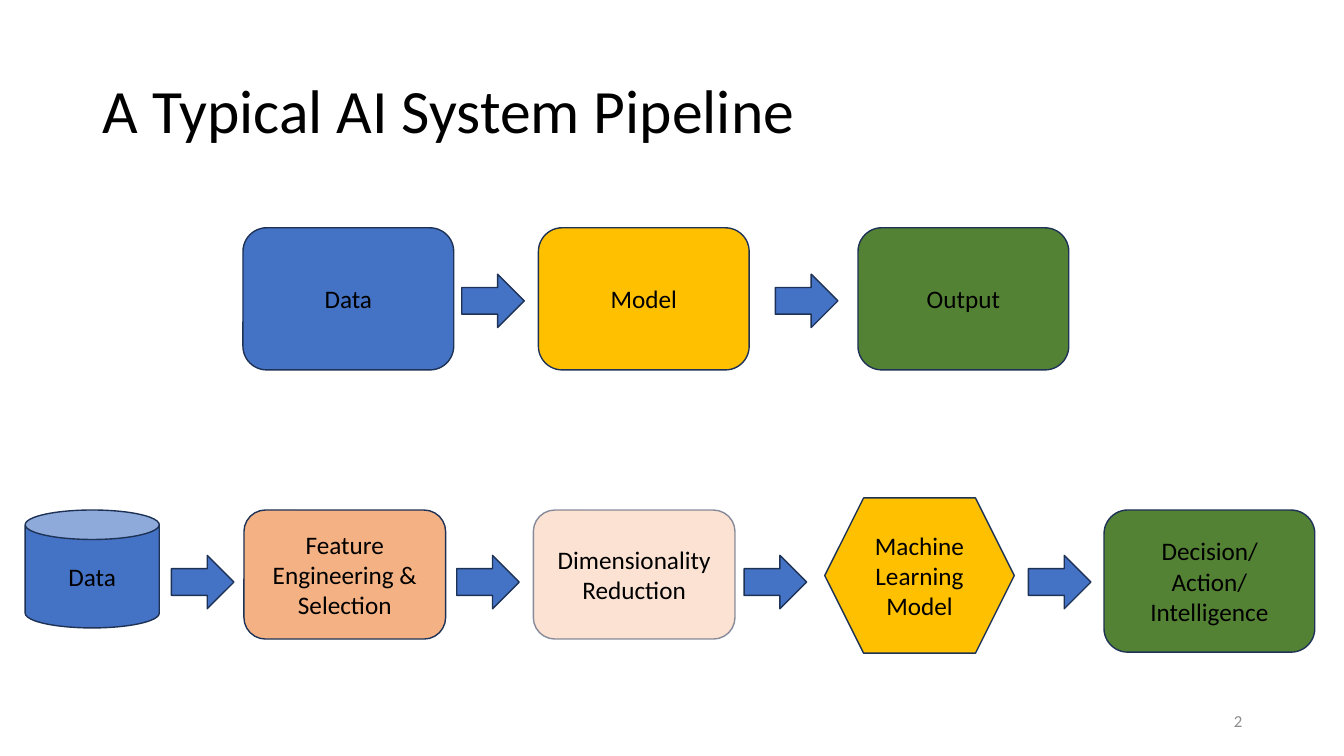
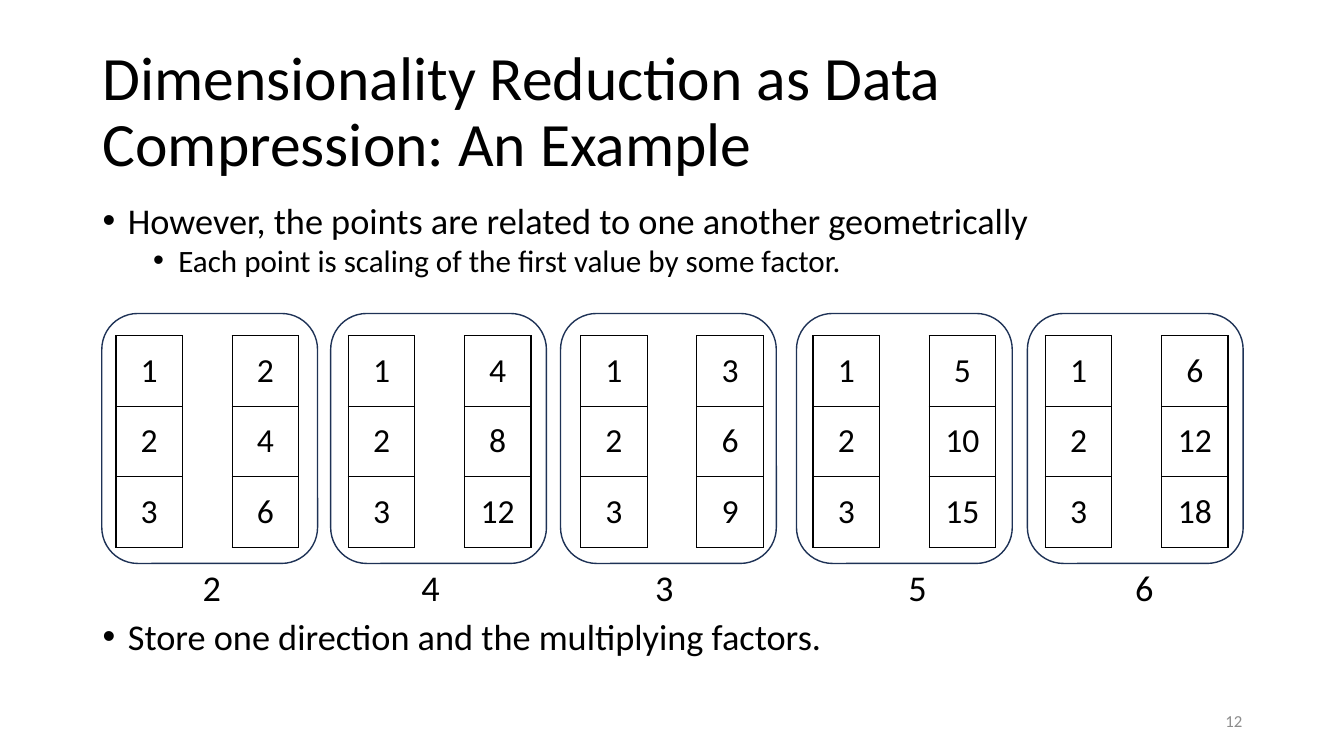
from lxml.etree import SubElement
from pptx import Presentation
from pptx.dml.color import RGBColor
from pptx.enum.shapes import MSO_SHAPE
from pptx.enum.text import MSO_ANCHOR, PP_ALIGN
from pptx.oxml.ns import qn
from pptx.util import Inches, Pt

COLORS = {
    "black": "000000",
    "gray": "8C8C8C",
    "navy": "1E3256",
    "blue": "4472C4",
    "gold": "FFC000",
    "green": "548235",
    "orange": "F4B183",
    "peach": "F8CBAD",
}
FONT = "Calibri"
ARROW_SIZE = (0.62, 0.53)
OVERVIEW_SIZE = (2.09, 1.41)
STEP_SIZE = (2, 1.28)

OVERVIEW_STAGES = [
    ("Data", MSO_SHAPE.ROUNDED_RECTANGLE, "blue", (0, 0, *OVERVIEW_SIZE)),
    ("Model", MSO_SHAPE.ROUNDED_RECTANGLE, "gold", (2.93, 0, *OVERVIEW_SIZE)),
    ("Output", MSO_SHAPE.ROUNDED_RECTANGLE, "green", (6.1, 0, *OVERVIEW_SIZE)),
]
DETAIL_STAGES = [
    ("Data", MSO_SHAPE.CAN, "blue", (0, 0.12, 1.33, 1.17)),
    ("Feature Engineering & Selection", MSO_SHAPE.ROUNDED_RECTANGLE, "orange",
     (2.17, 0.12, *STEP_SIZE)),
    ("Dimensionality Reduction", MSO_SHAPE.ROUNDED_RECTANGLE, "peach",
     (5.04, 0.12, *STEP_SIZE)),
    ("Machine Learning Model", MSO_SHAPE.HEXAGON, "gold", (7.93, 0, 1.88, 1.54)),
    ("Decision/Action/Intelligence", MSO_SHAPE.ROUNDED_RECTANGLE, "green",
     (10.7, 0.12, *OVERVIEW_SIZE)),
]
DIRECTION = (1, 2, 3)
GROUPS = [(2, 1.01, 2.1), (4, 3.28, 4.27), (3, 5.56, 6.59), (5, 7.9, 9.1), (6, 10.19, 11.35)]


def color(name):
    """Return the named colour."""
    return RGBColor.from_string(COLORS[name])


def style(para, size, name="black", align=PP_ALIGN.LEFT, spacing=1.0):
    """Set font, alignment and line spacing of a paragraph."""
    para.alignment = align
    para.line_spacing = spacing
    para.font.name = FONT
    para.font.size = Pt(size)
    para.font.color.rgb = color(name)


def add_text(page, box, text, size, anchor=MSO_ANCHOR.TOP, **looks):
    """Add a wrapped text box with one paragraph."""
    frame = page.shapes.add_textbox(*map(Inches, box)).text_frame
    frame.word_wrap = True
    frame.vertical_anchor = anchor
    frame.text = text
    style(frame.paragraphs[0], size, **looks)


def add_bullets(page, box, items):
    """Add bulleted lines given as pairs of text and level."""
    frame = page.shapes.add_textbox(*map(Inches, box)).text_frame
    frame.word_wrap = True
    for index, (text, level) in enumerate(items):
        para = frame.add_paragraph() if index else frame.paragraphs[0]
        para.text = text
        para.level = level
        props = para._p.get_or_add_pPr()
        props.set("marL", str(Inches(0.25 + 0.5 * level)))
        props.set("indent", str(Inches(-0.25)))
        SubElement(props, qn("a:buFont"), typeface="Arial")
        SubElement(props, qn("a:buChar"), char="•")
        if index:
            para.space_before = Pt(5 if level else 10)
        style(para, 22.2 if level else 25.9, spacing=0.8)


def add_outlined(page, kind, box, fill=None):
    """Add a preset shape with the navy outline."""
    shape = page.shapes.add_shape(kind, *map(Inches, box))
    shape.shadow.inherit = False
    shape.line.color.rgb = color("navy")
    shape.line.width = Pt(1)
    if fill:
        shape.fill.solid()
        shape.fill.fore_color.rgb = color(fill)
    else:
        shape.fill.background()
    return shape


def fade(shape, fill_percent, line_percent):
    """Make the fill and outline of a shape partly transparent."""
    props = shape._element.spPr
    for fill, percent in ((props.find(qn("a:solidFill")), fill_percent),
                          (props.find(qn("a:ln")).find(qn("a:solidFill")), line_percent)):
        SubElement(fill[0], qn("a:alpha"), val=str(percent * 1000))


def add_pipeline(page, left, top, stages, arrow_lefts, arrow_top):
    """Draw a row of stages and arrows from its top left corner."""
    for text, kind, fill, (across, down, width, height) in stages:
        shape = add_outlined(page, kind, (left + across, top + down, width, height), fill)
        if fill == "peach":
            fade(shape, 54, 53)
        frame = shape.text_frame
        frame.word_wrap = True
        frame.vertical_anchor = MSO_ANCHOR.MIDDLE
        frame.text = text
        style(frame.paragraphs[0], 18, align=PP_ALIGN.CENTER)
    for across in arrow_lefts:
        box = (left + across, top + arrow_top, *ARROW_SIZE)
        add_outlined(page, MSO_SHAPE.RIGHT_ARROW, box, "blue")


def add_border(cell):
    """Give a table cell a thin black border on all sides."""
    props = cell._tc.get_or_add_tcPr()
    for index, side in enumerate(("lnL", "lnR", "lnT", "lnB")):
        line = props.makeelement(qn(f"a:{side}"), {"w": str(Pt(1))})
        props.insert(index, line)
        fill = SubElement(line, qn("a:solidFill"))
        SubElement(fill, qn("a:srgbClr"), val=COLORS["black"])


def add_vector(page, box, values):
    """Draw a point as a table of one column."""
    table = page.shapes.add_table(len(values), 1, *map(Inches, box)).table
    table.first_row = False
    table.horz_banding = False
    for row, value in enumerate(values):
        cell = table.cell(row, 0)
        cell.fill.background()
        cell.vertical_anchor = MSO_ANCHOR.MIDDLE
        cell.text = str(value)
        style(cell.text_frame.paragraphs[0], 24, align=PP_ALIGN.CENTER)
        add_border(cell)


def add_groups(page, left, top, width):
    """Draw each direction beside its scaled point, framed, with its factor below."""
    step = width / (2 * len(GROUPS) - 1)
    for index, (factor, frame_left, center) in enumerate(GROUPS):
        for offset, scale in enumerate((1, factor)):
            box = (left + step * (2 * index + offset), top, 0.66, 2.1)
            add_vector(page, box, [scale * value for value in DIRECTION])
        add_outlined(page, MSO_SHAPE.ROUNDED_RECTANGLE, (frame_left, top - 0.22, 2.14, 2.48))
        add_text(page, (center - 0.5, top + 2.31, 1, 0.45), str(factor), 25.9,
                 align=PP_ALIGN.CENTER, spacing=0.8)


def add_page(deck, title, number):
    """Add a blank slide with its title and number."""
    page = deck.slides.add_slide(deck.slide_layouts[6])
    add_text(page, (0.92, 0.4, 11.5, 1.45), title, 44, MSO_ANCHOR.MIDDLE, spacing=0.9)
    add_text(page, (9.42, 6.95, 3, 0.4), str(number), 12, MSO_ANCHOR.MIDDLE,
             name="gray", align=PP_ALIGN.RIGHT)
    return page


def build_pipeline_page(deck):
    """Build the slide with the short and the detailed pipeline."""
    page = add_page(deck, "A Typical AI System Pipeline", 2)
    add_pipeline(page, 2.41, 2.26, OVERVIEW_STAGES, (2.17, 5.28), 0.46)
    add_pipeline(page, 0.25, 4.94, DETAIL_STAGES, (1.45, 4.28, 7.13, 9.95), 0.57)


def build_compression_page(deck):
    """Build the slide with the scaled points."""
    page = add_page(deck, "Dimensionality Reduction as Data Compression: An Example", 12)
    add_bullets(page, (0.92, 2, 11.5, 0.9), [
        ("However, the points are related to one another geometrically", 0),
        ("Each point is scaling of the first value by some factor.", 1),
    ])
    add_groups(page, 1.15, 3.33, 10.37)
    add_bullets(page, (0.92, 6.13, 11.5, 0.5), [
        ("Store one direction and the multiplying factors.", 0),
    ])


def main():
    """Build and save the deck."""
    deck = Presentation()
    deck.slide_width = Inches(13.33)
    deck.slide_height = Inches(7.5)
    build_pipeline_page(deck)
    build_compression_page(deck)
    deck.save("out.pptx")


if __name__ == "__main__":
    main()
